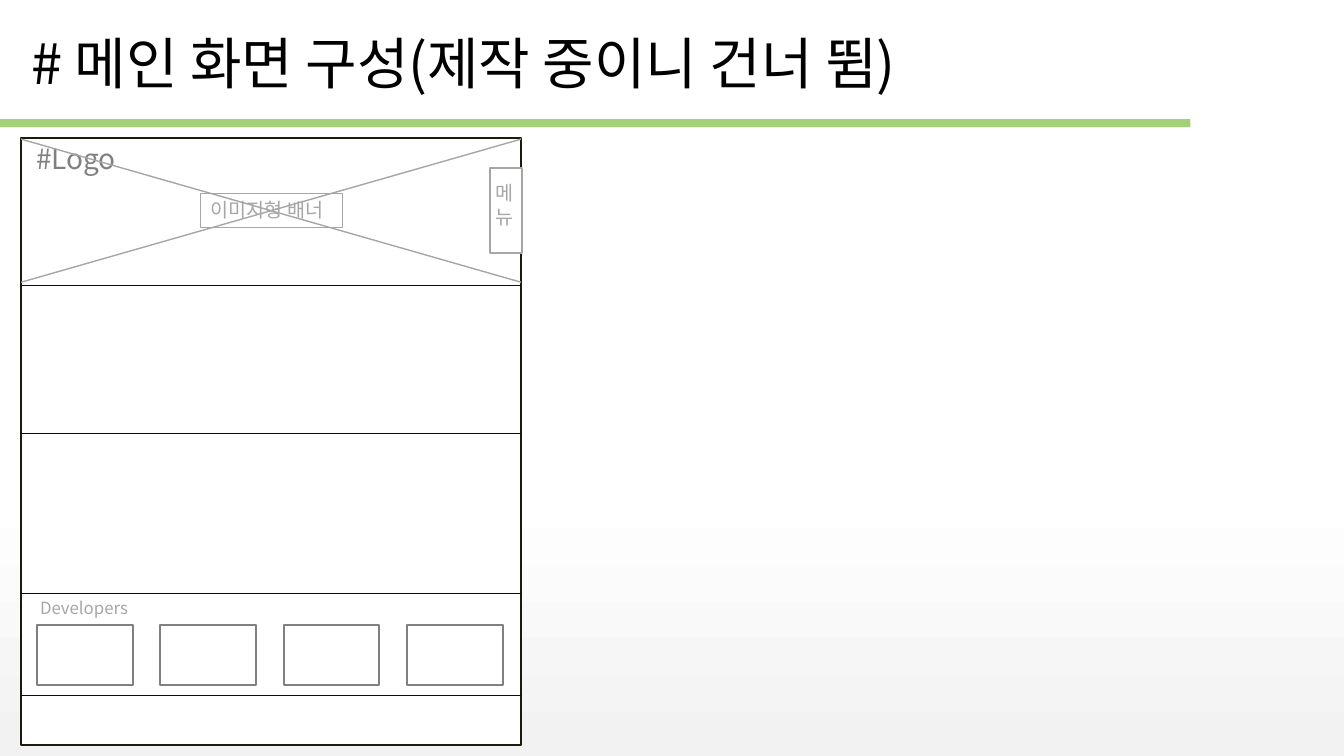
from lxml.etree import SubElement
from pptx import Presentation
from pptx.dml.color import RGBColor
from pptx.enum.shapes import MSO_CONNECTOR, MSO_SHAPE
from pptx.enum.text import MSO_ANCHOR, MSO_AUTO_SIZE, PP_ALIGN
from pptx.oxml.ns import qn
from pptx.util import Pt

FONT = "Noto Sans CJK KR"
BLACK, NEAR_BLACK, FRAME = "000000", "0D0D0D", "1D1A0D"
GRAY, LIGHT_GRAY, WHITE, GREEN = "808080", "A6A6A6", "FFFFFF", "A5D07A"
LEFT, RIGHT = 15.1, 372.2


def color(value):
    return RGBColor.from_string(value)


def set_background(page):
    fill = page.background.fill
    fill.gradient()
    fill.gradient_angle = 270
    for stop, position, shade in zip(fill.gradient_stops, (0.65, 0.99), (WHITE, "F2F2F2")):
        stop.position = position
        stop.color.rgb = color(shade)


def write(shape, lines, size, ink, wrap=True):
    """Fill a shape with left-aligned paragraphs in the slide's font."""
    frame = shape.text_frame
    frame.text = "\n".join(lines)
    frame.word_wrap = wrap
    frame.auto_size = MSO_AUTO_SIZE.SHAPE_TO_FIT_TEXT
    frame.vertical_anchor = MSO_ANCHOR.TOP
    for para in frame.paragraphs:
        para.alignment = PP_ALIGN.LEFT
        para.line_spacing = 1.0
        para.space_before = Pt(0)
        for span in para.runs:
            span.font.name = FONT
            span.font.size = Pt(size)
            span.font.color.rgb = color(ink)
            SubElement(span.font._element, qn("a:ea"), typeface=FONT)


def add_title(page, text, left, top, width, height):
    title = page.shapes.title
    title.left, title.top, title.width, title.height = map(Pt, (left, top, width, height))
    write(title, [text], 40, BLACK)


def add_label(page, lines, bounds, size, ink, wrap=False):
    box = page.shapes.add_textbox(*map(Pt, bounds))
    write(box, lines, size, ink, wrap)


def add_box(page, bounds, fill=None, line=None, weight=1.5):
    box = page.shapes.add_shape(MSO_SHAPE.RECTANGLE, *map(Pt, bounds))
    box.shadow.inherit = False
    if fill:
        box.fill.solid()
        box.fill.fore_color.rgb = color(fill)
    else:
        box.fill.background()
    if line:
        box.line.color.rgb = color(line)
        box.line.width = Pt(weight)
    else:
        box.line.fill.background()
    return box


def add_line(page, start, end, ink):
    line = page.shapes.add_connector(MSO_CONNECTOR.STRAIGHT, *map(Pt, (*start, *end)))
    line.line.color.rgb = color(ink)
    line.line.width = Pt(1)
    SubElement(line._element.spPr, qn("a:effectLst"))


def add_banner(page):
    add_label(page, ["#Logo"], (18.7, 97.2, 81.4, 31.7), 20, GRAY, wrap=True)
    top, bottom = 99.4, 201.6
    add_line(page, (LEFT, top), (RIGHT, bottom), LIGHT_GRAY)
    add_line(page, (RIGHT, top), (LEFT, bottom), LIGHT_GRAY)
    caption = add_box(page, (143.3, 138.2, 101.5, 24.5), line=LIGHT_GRAY, weight=0.75)
    write(caption, ["이미지형 배너"], 14, LIGHT_GRAY, wrap=False)
    add_box(page, (349.9, 120.2, 23, 60.5), WHITE, LIGHT_GRAY)
    add_label(page, ["메", "뉴"], (347, 126, 28.1, 41), 14, LIGHT_GRAY)


def add_developers(page):
    for column in range(4):
        add_box(page, (26.6 + 88 * column, 446.4, 68.4, 43.2), WHITE, GRAY)
    add_label(page, ["Developers"], (21.6, 423.4, 77, 21.6), 12, LIGHT_GRAY)


def main():
    deck = Presentation()
    deck.slide_width, deck.slide_height = Pt(960), Pt(540)
    page = deck.slides.add_slide(deck.slide_layouts[5])
    set_background(page)
    add_title(page, "# 메인 화면 구성(제작 중이니 건너 뜀)", 15.1, 16.6, 835.2, 55.4)
    add_box(page, (0, 85, 850.3, 5.8), GREEN)
    add_box(page, (LEFT, 98.6, RIGHT - LEFT, 433.4), WHITE, FRAME)
    for divider in (203.8, 309.6, 424.1, 496.8):
        add_line(page, (LEFT, divider), (RIGHT, divider), NEAR_BLACK)
    add_banner(page)
    add_developers(page)
    deck.save("out.pptx")


if __name__ == "__main__":
    main()
